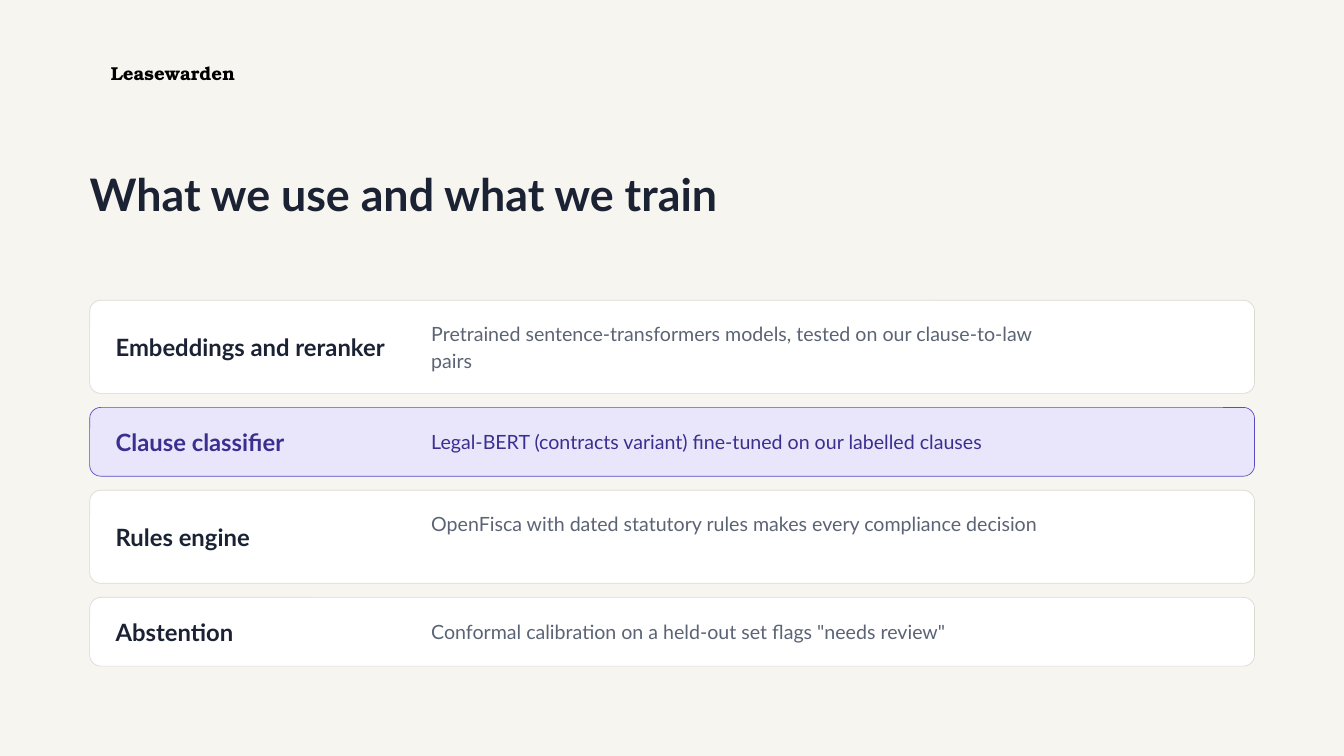
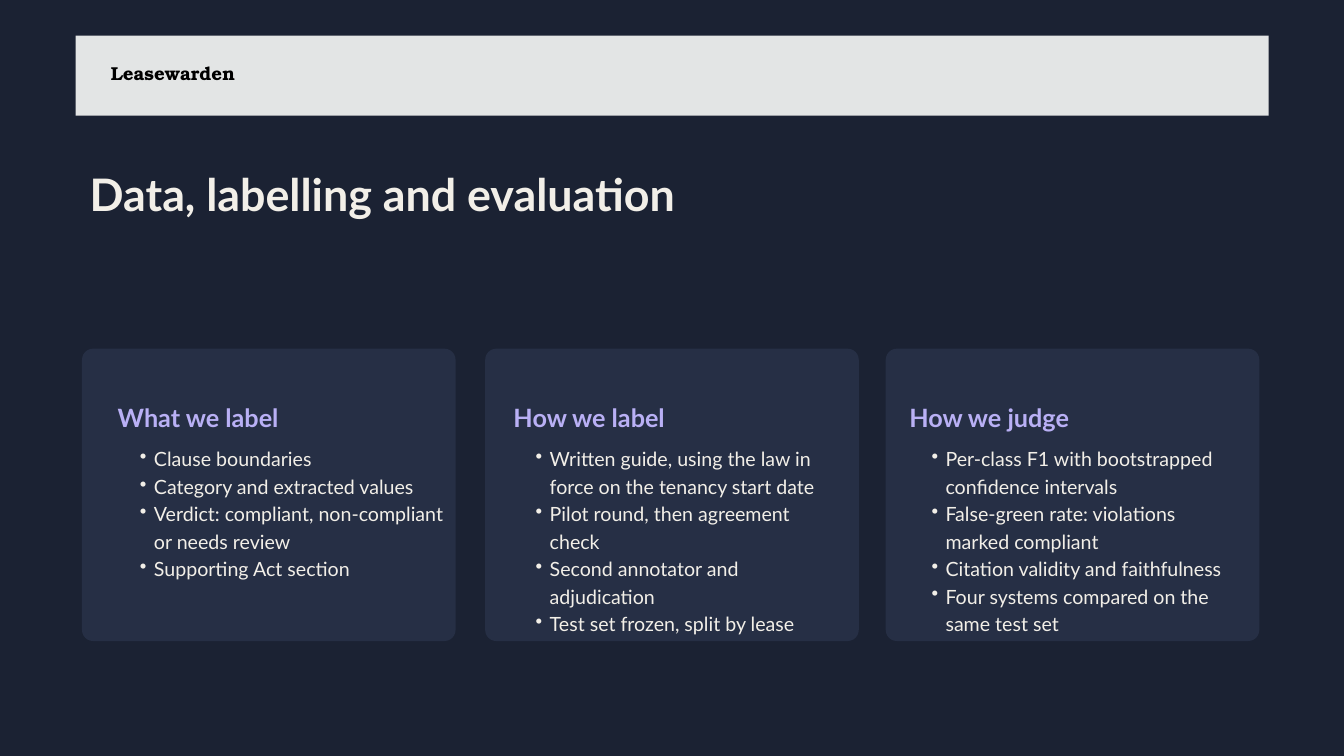
from lxml import etree
from pptx import Presentation
from pptx.dml.color import RGBColor
from pptx.enum.shapes import MSO_SHAPE
from pptx.enum.text import MSO_AUTO_SIZE
from pptx.oxml.ns import qn
from pptx.util import Cm, Pt

ROUND = MSO_SHAPE.ROUNDED_RECTANGLE
RECT = MSO_SHAPE.RECTANGLE
GROW = MSO_AUTO_SIZE.SHAPE_TO_FIT_TEXT

COLORS = {
    "paper": "F6F5F0", "navy": "1B2233", "white": "FFFFFF", "edge": "DCD9CF",
    "slate": "5B6475", "lilac": "E9E6FB", "violet": "5B4BC4",
    "indigo": "3A2F8F", "cream": "F2EFE8", "panel": "262F45",
    "lavender": "B9B0F5", "band": "E3E5E5", "black": "000000",
}

BRAND = "Leasewarden"
TOOLS_TITLE = "What we use and what we train"
TOOLS = [
    ("Embeddings and reranker",
     "Pretrained sentence-transformers models, tested on our clause-to-law pairs",
     "tall", "plain"),
    ("Clause classifier",
     "Legal-BERT (contracts variant) fine-tuned on our labelled clauses",
     "short", "trained"),
    ("Rules engine",
     "OpenFisca with dated statutory rules makes every compliance decision",
     "tall", "plain"),
    ("Abstention",
     'Conformal calibration on a held-out set flags "needs review"',
     "short", "plain"),
]
SIZES = {"tall": (3.52, 2.18), "short": (2.6, 1.19)}
STYLES = {
    "plain": ("white", "edge", "navy", "slate"),
    "trained": ("lilac", "violet", "indigo", "indigo"),
}

DATA_TITLE = "Data, labelling and evaluation"
CARDS = [
    (3.1, 5.38, "What we label", [
        "Clause boundaries",
        "Category and extracted values",
        "Verdict: compliant, non-compliant or needs review",
        "Supporting Act section",
    ]),
    (18.34, 7.19, "How we label", [
        "Written guide, using the law in force on the tenancy start date",
        "Pilot round, then agreement check",
        "Second annotator and adjudication",
        "Test set frozen, split by lease",
    ]),
    (33.48, 7.47, "How we judge", [
        "Per-class F1 with bootstrapped confidence intervals",
        "False-green rate: violations marked compliant",
        "Citation validity and faithfulness",
        "Four systems compared on the same test set",
    ]),
]

LEFT = 3.39
ROW_TOP, ROW_WIDTH, ROW_GAP = 11.35, 44.03, 0.53
LABEL_HIGH = 1.19
CARD_TOP, CARD_WIDTH, CARD_HIGH = 13.18, 14.12, 11.05
HEAD_LEFT, HEAD_STEP = 4.45, 14.96
RADIUS = 0.42


def color(name):
    return RGBColor.from_string(COLORS[name])


def add_box(slide, kind, x, y, w, h, fill, line=None):
    box = slide.shapes.add_shape(kind, Cm(x), Cm(y), Cm(w), Cm(h))
    box.shadow.inherit = False
    box.fill.solid()
    box.fill.fore_color.rgb = color(fill)
    if line:
        box.line.color.rgb = color(line)
        box.line.width = Pt(0.75)
    else:
        box.line.fill.background()
    if kind == ROUND:
        box.adjustments[0] = RADIUS / min(w, h)


def add_bullet(para):
    para.level = 1
    props = para._p.get_or_add_pPr()
    props.set("marL", str(Cm(1.07)))
    props.set("indent", str(Cm(-0.53)))
    etree.SubElement(props, qn("a:buChar")).set("char", "•")


def add_text(slide, x, y, w, h, lines, size, lead, ink,
             bold=False, face="Lato", bullets=False):
    frame = slide.shapes.add_textbox(Cm(x), Cm(y), Cm(w), Cm(h)).text_frame
    frame.margin_left = frame.margin_right = 0
    frame.margin_top = frame.margin_bottom = 0
    frame.word_wrap = True
    frame.auto_size = GROW
    frame.text = "\n".join(lines)
    for para in frame.paragraphs:
        if bullets:
            add_bullet(para)
        para.line_spacing = Pt(lead)
        para.font.name = face
        para.font.size = Pt(size)
        para.font.bold = bold
        para.font.color.rgb = color(ink)


def add_slide(deck, title, back, ink):
    slide = deck.slides.add_slide(deck.slide_layouts[6])
    slide.background.fill.solid()
    slide.background.fill.fore_color.rgb = color(back)
    add_text(slide, LEFT, 6.48, 45.34, 1.83, [title], 48, 52.8, ink, True)
    return slide


def add_brand(slide):
    add_text(slide, 4.19, 2.18, 5.94, 1.09, [BRAND], 20, 28, "black",
             True, "TeX Gyre Bonum")


def build_tools(deck):
    slide = add_slide(deck, TOOLS_TITLE, "paper", "navy")
    top = ROW_TOP
    for label, note, size, style in TOOLS:
        high, note_high = SIZES[size]
        fill, line, ink, note_ink = STYLES[style]
        mid = top + high / 2 + 0.05
        add_box(slide, ROUND, LEFT, top, ROW_WIDTH, high, fill, line)
        add_text(slide, 4.37, mid - LABEL_HIGH / 2, 11.46, LABEL_HIGH,
                 [label], 25.5, 30.6, ink, True)
        add_text(slide, 16.3, mid - note_high / 2, 23.62, note_high,
                 [note], 21, 28.4, note_ink)
        top += high + ROW_GAP
    add_brand(slide)


def build_data(deck):
    slide = add_slide(deck, DATA_TITLE, "navy", "cream")
    for i, (left, high, head, points) in enumerate(CARDS):
        x = HEAD_LEFT + i * HEAD_STEP
        add_box(slide, ROUND, left, CARD_TOP, CARD_WIDTH, CARD_HIGH, "panel")
        add_text(slide, x, 15.19, 12.34, 1.24, [head], 27, 32.4,
                 "lavender", True)
        add_text(slide, x + 0.3, 16.76, 12.01, high, points, 21, 29.4,
                 "cream", bullets=True)
    add_box(slide, RECT, 2.86, 1.35, 45.09, 3.02, "band")
    add_brand(slide)


def main():
    deck = Presentation()
    deck.slide_width = Cm(50.8)
    deck.slide_height = deck.slide_width * 9 // 16
    build_tools(deck)
    build_data(deck)
    deck.save("out.pptx")


if __name__ == "__main__":
    main()
